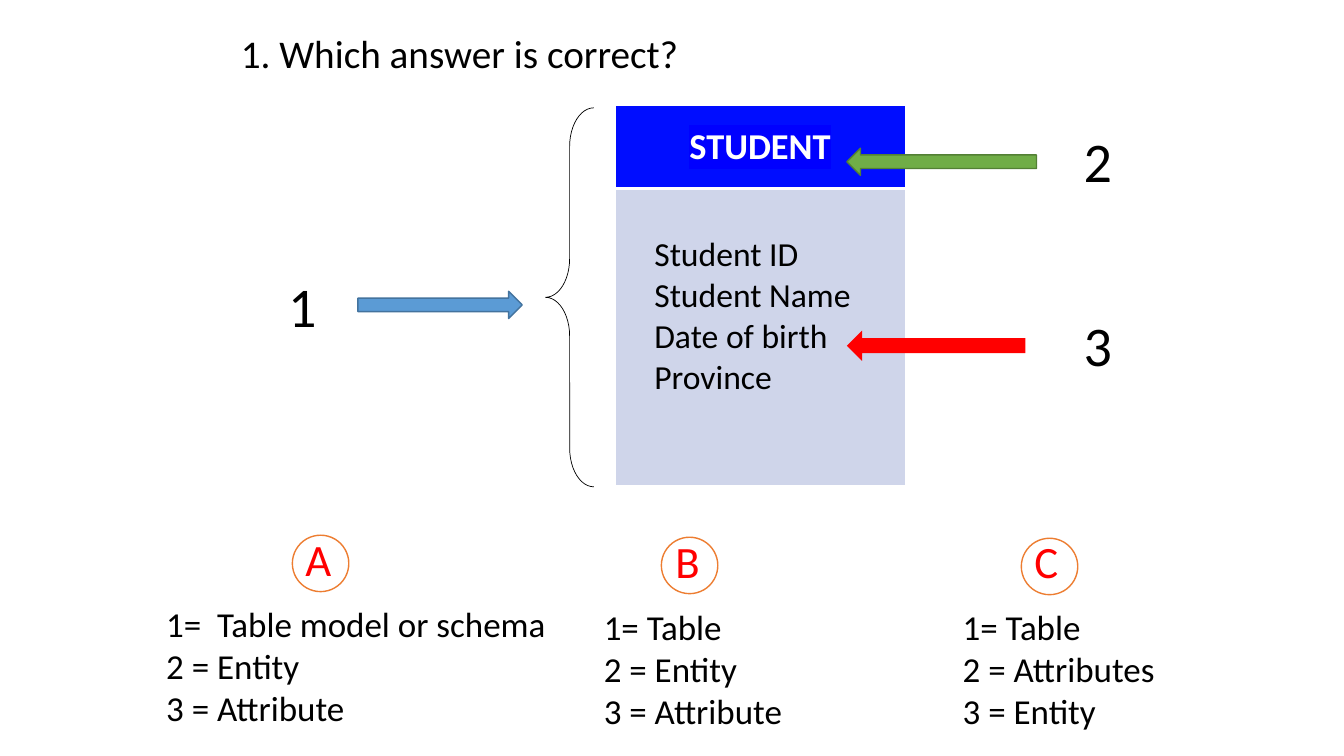
from dataclasses import dataclass

from lxml.etree import SubElement
from pptx import Presentation
from pptx.dml.color import RGBColor
from pptx.enum.shapes import MSO_SHAPE
from pptx.enum.text import MSO_ANCHOR, MSO_AUTO_SIZE, PP_ALIGN
from pptx.oxml.ns import qn
from pptx.util import Inches, Pt

FONT = "Calibri"
BLACK, WHITE, RED, ORANGE = "000000", "FFFFFF", "FF0000", "ED7D31"


@dataclass
class Arrow:
    kind: MSO_SHAPE
    left: float
    top: float
    width: float
    height: float
    fill: str
    line: str | None


@dataclass
class Number:
    text: str
    left: float
    top: float


@dataclass
class Answer:
    letter: str
    letter_at: tuple[float, float, float]
    circle_at: tuple[float, float]
    lines_at: tuple[float, float, float]
    lines: list[str]


ARROWS = [
    Arrow(MSO_SHAPE.LEFT_ARROW, 8.4, 3.28, 1.77, 0.3, RED, None),
    Arrow(MSO_SHAPE.LEFT_ARROW, 8.4, 1.47, 1.88, 0.27, "70AD47", "538035"),
    Arrow(MSO_SHAPE.RIGHT_ARROW, 3.55, 2.89, 1.63, 0.27, "5B9BD5", "43739E"),
]
NUMBERS = [Number("1", 2.76, 2.64), Number("2", 10.65, 1.21), Number("3", 10.65, 3.03)]
ANSWERS = [
    Answer("A", (2.93, 5.23, 0.46), (2.9, 5.31), (1.55, 5.93, 4),
           ["1=  Table model or schema", "2 = Entity", "3 = Attribute"]),
    Answer("B", (6.6, 5.25, 0.46), (6.56, 5.33), (5.89, 5.96, 2),
           ["1= Table", "2 = Entity", "3 = Attribute"]),
    Answer("C", (10.16, 5.25, 0.44), (10.13, 5.34), (9.45, 5.96, 2.13),
           ["1= Table", "2 = Attributes", "3 = Entity"]),
]
FIELDS = ["Student ID", "Student Name", "Date of birth", "Province"]


def color(value: str) -> RGBColor:
    return RGBColor.from_string(value)


def write(frame, lines: list[str], *, size: float, fill: str = BLACK, bold: bool = False,
          align: PP_ALIGN = PP_ALIGN.LEFT, highlight: str | None = None) -> None:
    for index, line in enumerate(lines):
        para = frame.paragraphs[0] if index == 0 else frame.add_paragraph()
        para.alignment = align
        span = para.add_run()
        span.text = line
        span.font.size = Pt(size)
        span.font.bold = bold
        span.font.color.rgb = color(fill)
        if highlight:
            mark = SubElement(span.font._element, qn("a:highlight"))
            SubElement(mark, qn("a:srgbClr"), val=highlight)
        span.font.name = FONT


def add_text(page, lines: list[str], left: float, top: float, width: float, height: float,
             *, size: float, fill: str = BLACK) -> None:
    box = page.shapes.add_textbox(Inches(left), Inches(top), Inches(width), Inches(height))
    box.text_frame.word_wrap = False
    box.text_frame.auto_size = MSO_AUTO_SIZE.SHAPE_TO_FIT_TEXT
    write(box.text_frame, lines, size=size, fill=fill)


def add_figure(page, kind: MSO_SHAPE, left: float, top: float, width: float, height: float,
               *, fill: str | None = None, line: str | None = None, weight: float = 1):
    shape = page.shapes.add_shape(kind, Inches(left), Inches(top), Inches(width), Inches(height))
    shape.shadow.inherit = False
    if fill:
        shape.fill.solid()
        shape.fill.fore_color.rgb = color(fill)
    else:
        shape.fill.background()
    if line:
        shape.line.color.rgb = color(line)
        shape.line.width = Pt(weight)
    else:
        shape.line.fill.background()
    return shape


def style_cell(cell, fill: str, borders: dict[str, float]) -> None:
    properties = cell._tc.get_or_add_tcPr()
    for side, weight in borders.items():
        edge = SubElement(properties, qn(f"a:ln{side}"), w=str(Pt(weight)))
        SubElement(SubElement(edge, qn("a:solidFill")), qn("a:srgbClr"), val=WHITE)
    cell.fill.solid()
    cell.fill.fore_color.rgb = color(fill)


def add_student_table(page) -> None:
    table = page.shapes.add_table(
        2, 1, Inches(6.1), Inches(1.05), Inches(2.88), Inches(3.77)).table
    for row, height in zip(table.rows, (0.82, 2.95)):
        row.height = Inches(height)
    header, body = table.cell(0, 0), table.cell(1, 0)

    style_cell(header, "000DFF", {"L": 1, "R": 1, "T": 1, "B": 3})
    header.vertical_anchor = MSO_ANCHOR.MIDDLE
    write(header.text_frame, ["STUDENT"], size=26, fill=WHITE, bold=True,
          align=PP_ALIGN.CENTER, highlight="0000FF")

    style_cell(body, "CFD5EA", {"L": 1, "R": 1, "T": 3, "B": 1})
    body.margin_left, body.margin_top = Inches(0.39), Inches(0.46)
    write(body.text_frame, FIELDS, size=24)


def main() -> None:
    deck = Presentation()
    deck.slide_width, deck.slide_height = Inches(13.33), Inches(7.5)
    page = deck.slides.add_slide(deck.slide_layouts[6])

    # Question and student table
    add_text(page, ["1. Which answer is correct?"], 2.29, 0.24, 4.59, 0.57, size=28)
    add_student_table(page)

    # Numbered pointers
    for arrow in ARROWS:
        add_figure(page, arrow.kind, arrow.left, arrow.top, arrow.width, arrow.height,
                   fill=arrow.fill, line=arrow.line)
    brace = add_figure(page, MSO_SHAPE.LEFT_BRACE, 5.41, 1.07, 0.48, 3.76,
                       line=BLACK, weight=0.5)
    brace.adjustments[0] = 0.8
    for number in NUMBERS:
        add_text(page, [number.text], number.left, number.top, 0.49, 0.77, size=40)

    # Answers
    for answer in ANSWERS:
        add_text(page, answer.lines, *answer.lines_at, 1.36, size=25)
        add_text(page, [answer.letter], *answer.letter_at, 0.64, size=32, fill=RED)
        add_figure(page, MSO_SHAPE.OVAL, *answer.circle_at, 0.56, 0.56, line=ORANGE)

    deck.save("out.pptx")


if __name__ == "__main__":
    main()
